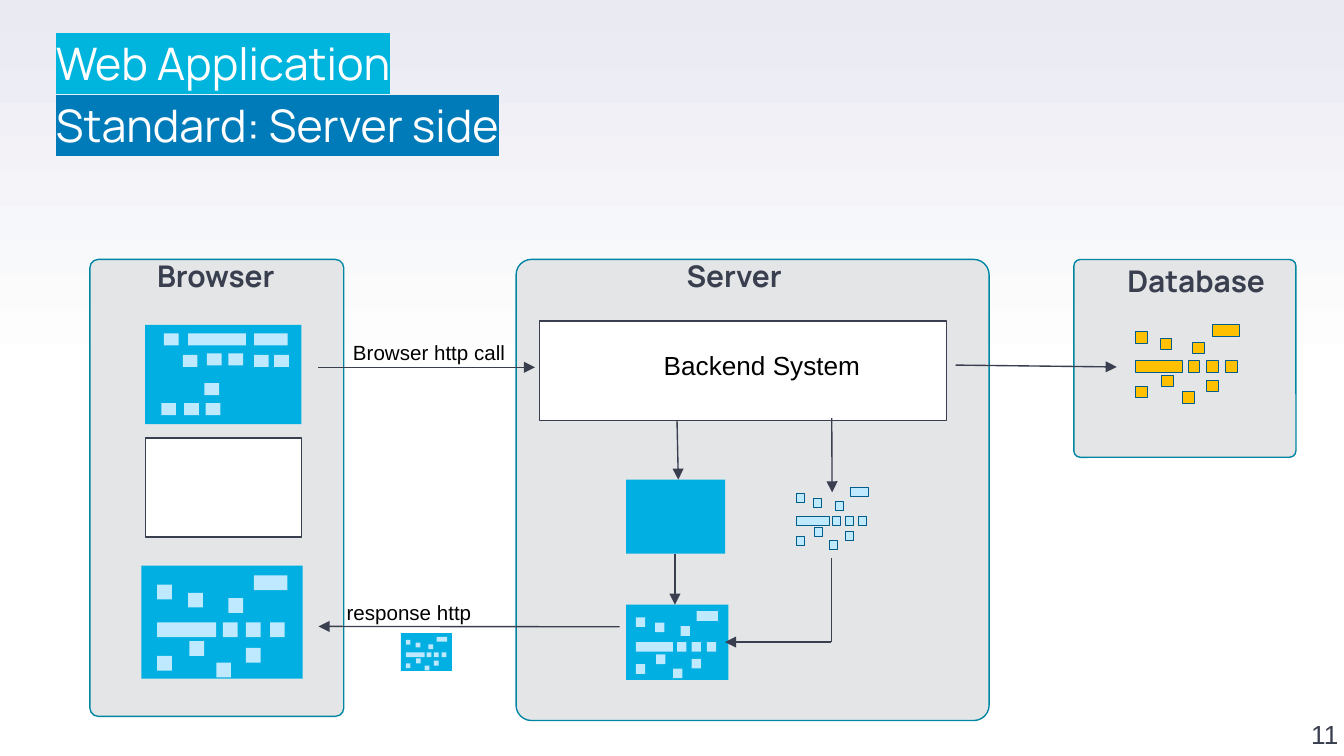
from pptx import Presentation
from pptx.dml.color import RGBColor as RGB
from pptx.enum.shapes import MSO_CONNECTOR as Link, MSO_SHAPE as Shape
from pptx.enum.text import MSO_ANCHOR as Anchor, MSO_AUTO_SIZE as Fit, PP_ALIGN as Align
from pptx.oxml.ns import qn
from pptx.util import Pt
from lxml.etree import SubElement as Sub

COLORS = {
    "ink": "3A3F50", "black": "000000", "white": "FFFFFF", "haze": "E9EAF2",
    "zone": "E3E5E7", "teal": "0086A3", "page": "01AFE2", "pale": "BEE9FF",
    "gold": "FFC000", "edge": "005C8B", "cyan": "00B5DD", "blue": "007BB9",
}

# Marks of a page as x, y, width, in units of their own; all have one height
MIXED = (11, [(0, 7, 11), (23, 13, 11), (0, 35, 44), (72, 0, 25), (0, 60, 11),
              (49, 35, 11), (66, 35, 11), (84, 35, 11), (24, 49, 11),
              (66, 54, 11), (44, 65, 11), (53, 17, 11)])
FORM = (9, [(2, 0, 11), (34, 15, 11), (20, 0, 43), (69, 0, 25), (0, 52, 11),
            (16, 16, 11), (69, 16, 11), (84, 16, 11), (17, 52, 11),
            (32, 37, 11), (33, 52, 11), (50, 15, 11)])


def color(name):
    return RGB.from_string(COLORS[name])


def add_box(shapes, box, fill, line=None, width=0.75, kind=Shape.RECTANGLE):
    shape = shapes.add_shape(kind, *map(Pt, box))
    shape.shadow.inherit = False
    shape.fill.solid()
    shape.fill.fore_color.rgb = color(fill)
    if line:
        shape.line.color.rgb = color(line)
        shape.line.width = Pt(width)
    else:
        shape.line.fill.background()
    return shape


def add_zone(shapes, box):
    zone = add_box(shapes, box, "zone", "teal", kind=Shape.ROUNDED_RECTANGLE)
    zone.adjustments[0] = 0.033


def add_marks(shapes, plan, box, fill="pale", line=None, panel=None):
    """Scale the plan of marks into a box, on a panel if one is given."""
    group = shapes.add_group_shape().shapes
    if panel:
        add_box(group, panel, "page")
    tall, marks = plan
    left, top, width, height = box
    wide = width / max(x + w for x, y, w in marks)
    high = height / (max(y for x, y, w in marks) + tall)
    for x, y, w in marks:
        spot = (left + x * wide, top + y * high, w * wide, tall * high)
        add_box(group, spot, fill, line, 0.5)


def add_line(shapes, start, end, head=True):
    line = shapes.add_connector(Link.STRAIGHT, *map(Pt, start + end))
    line.line.color.rgb = color("ink")
    line.line.width = Pt(0.75)
    if head:
        Sub(line.line._get_or_add_ln(), qn("a:tailEnd"), type="triangle")
    Sub(line._element.spPr, qn("a:effectLst"))


def add_run(para, text, size, font, ink, bold=False):
    run = para.add_run()
    run.text = text
    run.font.size = Pt(size)
    run.font.name = font
    run.font.bold = bold
    run.font.color.rgb = color(ink)
    return run


def clear_inset(frame):
    frame.margin_left = frame.margin_right = 0
    frame.margin_top = frame.margin_bottom = 0


def add_text(shapes, box, text, size, font="Arial", ink="black", bold=False):
    frame = shapes.add_textbox(*map(Pt, box)).text_frame
    frame.word_wrap = True
    add_run(frame.paragraphs[0], text, size, font, ink, bold)
    return frame


def add_head(shapes, box, text):
    frame = add_text(shapes, box, text, 16, "Manrope", "ink", True)
    clear_inset(frame)
    para = frame.paragraphs[0]
    para.level = 1
    para.line_spacing = 1.1
    props = para._p.get_or_add_pPr()
    props.set("marL", str(Pt(44.6)))
    props.set("indent", "0")


def set_title(title, lines):
    title.left, title.top, title.width, title.height = map(Pt, (30, 15, 410, 70.6))
    frame = title.text_frame
    clear_inset(frame)
    frame.word_wrap = True
    frame.auto_size = Fit.NONE
    frame.vertical_anchor = Anchor.TOP
    for index, (text, back) in enumerate(lines):
        para = frame.add_paragraph() if index else frame.paragraphs[0]
        para.alignment = Align.LEFT
        para.line_spacing = 1.15
        para.space_before = Pt(0)
        run = add_run(para, text, 24, "Manrope", "white")
        # The highlight has to stand right after the text fill
        props = run.font._element
        mark = Sub(props, qn("a:highlight"))
        Sub(mark, qn("a:srgbClr"), val=COLORS[back])
        props.find(qn("a:solidFill")).addnext(mark)


def set_back(slide):
    fill = slide.background.fill
    fill.gradient()
    fill.gradient_angle = 90
    for stop, place, name in zip(fill.gradient_stops, (0.5, 1), ("white", "haze")):
        stop.position = place
        stop.color.rgb = color(name)


def main():
    deck = Presentation()
    deck.slide_width, deck.slide_height = Pt(720), Pt(405)
    slide = deck.slides.add_slide(deck.slide_layouts[5])
    shapes = slide.shapes
    set_back(slide)
    set_title(shapes.title, [("Web Application", "cyan"),
                             ("Standard: Server side", "blue")])

    # Zones and their headings
    for box in ((575.3, 139, 119, 106), (276.5, 139, 253.4, 247), (48.2, 139, 136, 244.8)):
        add_zone(shapes, box)
    add_head(shapes, (39.6, 136, 165.6, 21), "Browser")
    add_head(shapes, (323.3, 136, 105, 21), "Server")
    add_head(shapes, (559.4, 139, 124.6, 21), "Database")

    # Browser pages
    add_marks(shapes, MIXED, (84.2, 308.2, 69.8, 54.7), panel=(75.8, 303, 86.4, 60.6))
    add_marks(shapes, FORM, (86.4, 178.6, 68.4, 43.9), panel=(77.8, 174, 83.7, 53.2))
    add_box(shapes, (77.8, 234.6, 83.7, 53.2), "white", "ink")

    # Server: backend, template, data and the merged page
    add_box(shapes, (289, 172, 218, 53.2), "white", "ink")
    add_text(shapes, (348.5, 183.6, 139, 24.5), "Backend System", 14)
    add_box(shapes, (335.5, 257, 53, 39.6), "page")
    add_marks(shapes, MIXED, (426.7, 261.4, 38.6, 33), line="edge")
    add_marks(shapes, MIXED, (340.6, 327.4, 44, 36), panel=(335.5, 324, 54.7, 40.3))

    # Database records
    add_marks(shapes, MIXED, (608.3, 174, 55.8, 42), "gold", "edge")

    # Flow
    for start, end in (
        ((170.6, 196.8), (286.6, 196.8)),
        ((512, 195.6), (598.3, 196.6)),
        ((331.9, 335.8), (170.6, 335.6)),
        ((445.6, 224), (445.8, 263.8)),
        ((362.7, 225.4), (363.4, 257)),
        ((361.6, 296.6), (361.6, 324)),
        ((445.4, 344), (388.4, 344)),
    ):
        add_line(shapes, start, end)
    add_line(shapes, (445.4, 344), (445.4, 299), head=False)

    # Call and response
    add_text(shapes, (182, 178.6, 104.4, 21), "Browser http call", 11)
    add_text(shapes, (178.6, 318, 113, 21), "response http", 11)
    add_marks(shapes, MIXED, (217.4, 341.2, 22.2, 18), panel=(214.7, 339.2, 27.4, 20.2))

    # Slide number
    number = add_text(shapes, (681, 365, 36, 36.7), "11", 14, ink="ink")
    clear_inset(number)
    number.vertical_anchor = Anchor.BOTTOM
    number.paragraphs[0].alignment = Align.RIGHT

    deck.save("out.pptx")


if __name__ == "__main__":
    main()
